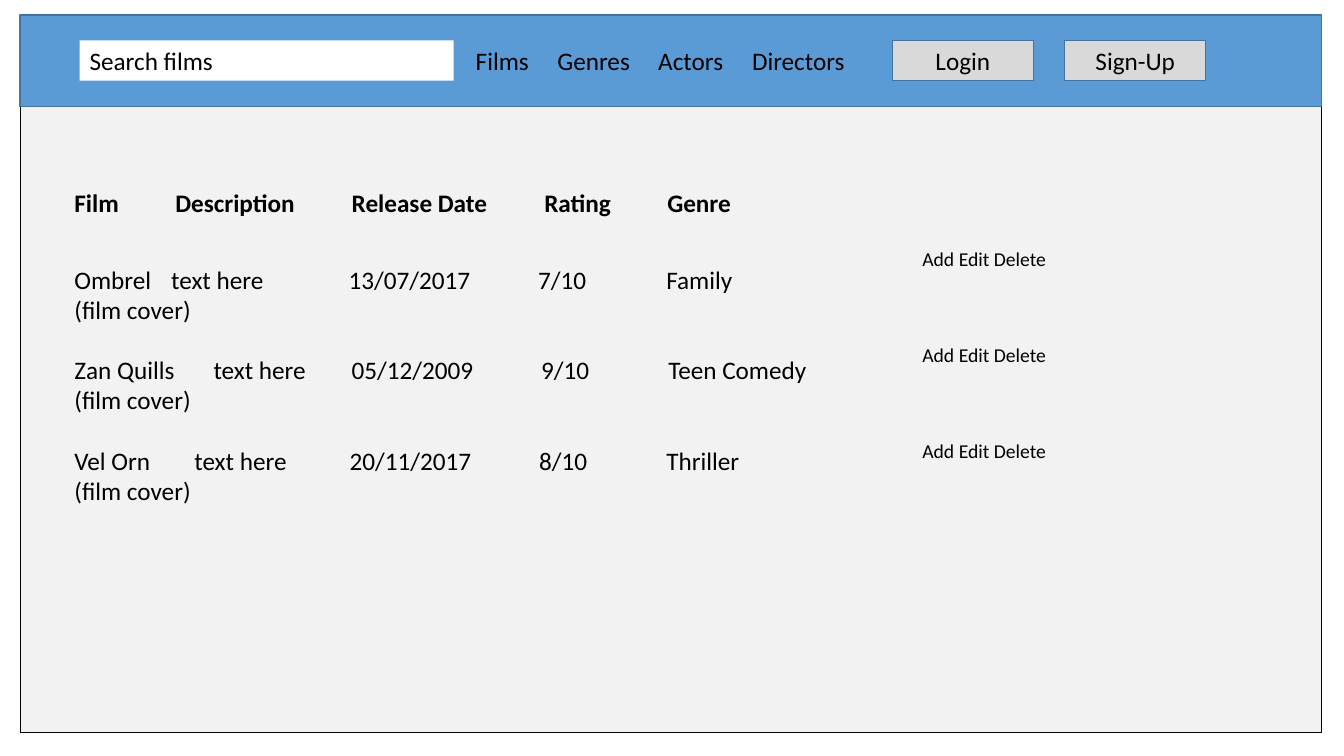
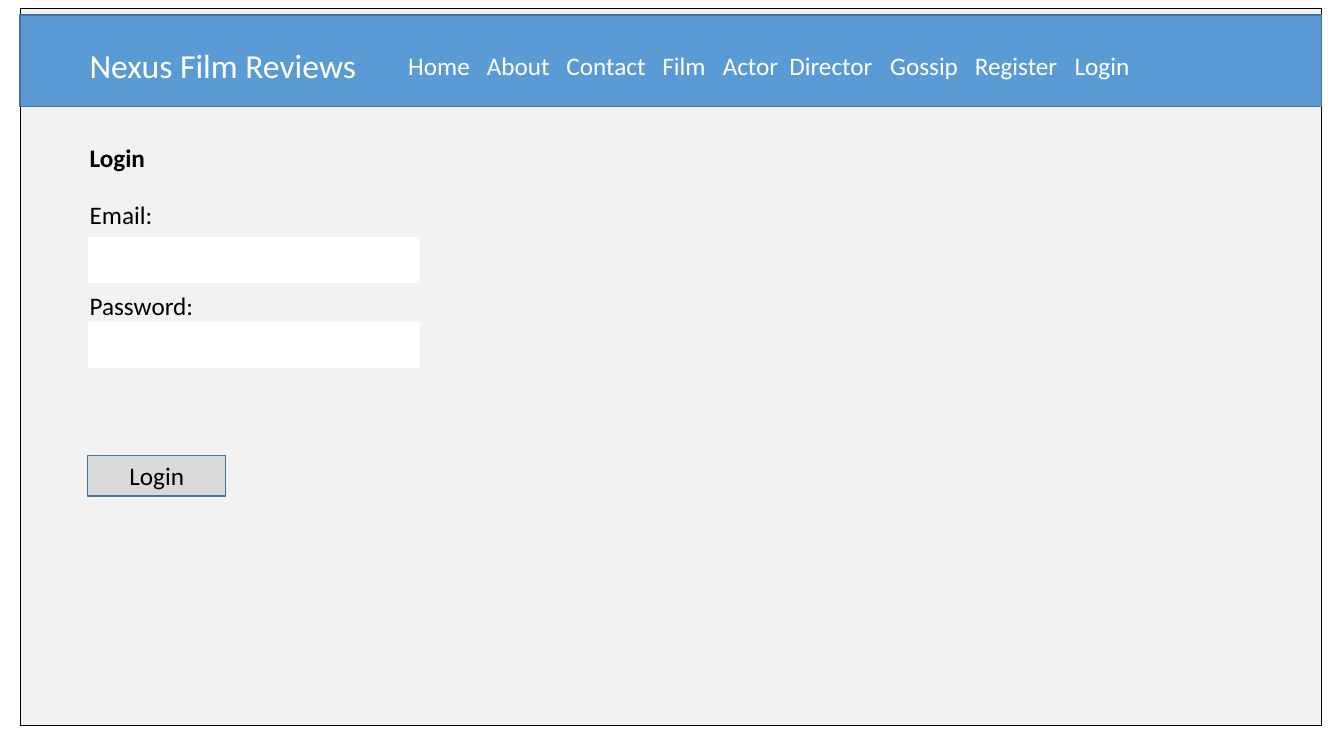
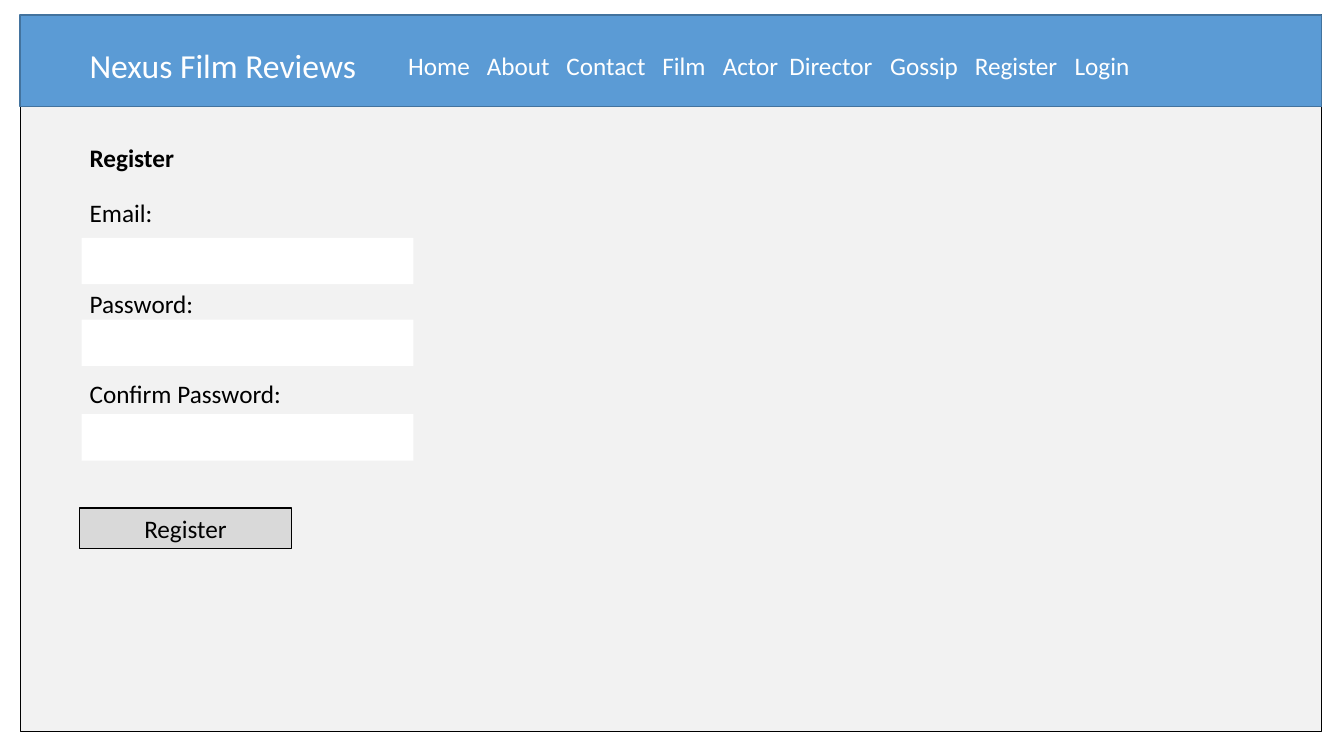
from lxml import etree
from pptx import Presentation
from pptx.dml.color import RGBColor
from pptx.enum.shapes import MSO_SHAPE
from pptx.enum.text import MSO_ANCHOR, PP_ALIGN
from pptx.oxml.ns import qn
from pptx.util import Inches, Pt

BLACK = RGBColor(0x00, 0x00, 0x00)
WHITE = RGBColor(0xFF, 0xFF, 0xFF)
PAGE = RGBColor(0xF2, 0xF2, 0xF2)
BLUE = RGBColor(0x5B, 0x9B, 0xD5)
EDGE = RGBColor(0x43, 0x73, 0x9E)
GREY = RGBColor(0xD9, 0xD9, 0xD9)
FONT = "Calibri"
LINE = 21.5  # points in one line of 18 pt text


def add_rect(s, x, y, w, h, fill, line=None, width=1):
    sp = s.shapes.add_shape(MSO_SHAPE.RECTANGLE, Inches(x), Inches(y), Inches(w), Inches(h))
    sp.shadow.inherit = False
    sp.fill.solid()
    sp.fill.fore_color.rgb = fill
    if line is None:
        sp.line.fill.background()
    else:
        sp.line.color.rgb = line
        sp.line.width = Pt(width)
    return sp


def write(sp, lines, size=18, color=BLACK, bold=False, align=PP_ALIGN.LEFT, anchor=MSO_ANCHOR.TOP):
    """Each line is (text, space before in points, tab stops in inches)."""
    tf = sp.text_frame
    tf.word_wrap = True
    tf.vertical_anchor = anchor
    for i, (text, gap, tabs) in enumerate(lines):
        p = tf.add_paragraph() if i else tf.paragraphs[0]
        p.text = text
        p.alignment = align
        p.space_before = Pt(gap)
        if tabs:
            tab_list = etree.SubElement(p._p.get_or_add_pPr(), qn("a:tabLst"))
            for pos in tabs:
                etree.SubElement(tab_list, qn("a:tab"), pos=str(Inches(pos)), algn="l")
        for r in p.runs:
            r.font.name = FONT
            r.font.size = Pt(size)
            r.font.bold = bold
            r.font.color.rgb = color


prs = Presentation()
prs.slide_width, prs.slide_height = Inches(13.33), Inches(7.5)
blank = prs.slide_layouts[6]

# Page frame and top band of every slide
slides = []
for frame_top in (0.15, 0.08, 0.14):
    s = prs.slides.add_slide(blank)
    add_rect(s, 0.2, frame_top, 12.91, 7.12, PAGE, BLACK, 0.5)
    add_rect(s, 0.2, 0.15, 12.91, 0.91, BLUE, EDGE)
    slides.append(s)

# Slide 1: search, menu and buttons
s = slides[0]
write(add_rect(s, 0.79, 0.4, 3.71, 0.4, WHITE), [("Search films", 0, ())])
menu = s.shapes.add_textbox(Inches(4.62), Inches(0.4), Inches(4.61), Inches(0.4))
write(menu, [("Films\tGenres\tActors\tDirectors", 0, (0.81, 1.81, 2.74))])
buttons = [(s, 8.85, 0.4, 1.4, EDGE, "Login"), (s, 10.56, 0.4, 1.4, EDGE, "Sign-Up")]

# Slide 1: film list
header = s.shapes.add_textbox(Inches(0.64), Inches(1.81), Inches(8.06), Inches(0.42))
write(header, [("Film\tDescription\tRelease Date\tRating\tGenre", 0, (1, 2.75, 4.66, 5.88))], bold=True)
films = [
    ("Ombrel\ttext here\t13/07/2017\t7/10\tFamily", (0.96, 2.72, 4.6, 5.87)),
    ("Zan Quills\ttext here\t05/12/2009\t9/10\tTeen Comedy", (1.38, 2.75, 4.63, 5.89)),
    ("Vel Orn\ttext here\t20/11/2017\t8/10\tThriller", (1.19, 2.73, 4.61, 5.87)),
]
rows = []
for i, (film, tabs) in enumerate(films):
    rows += [(film, LINE if i else 0, tabs), ("(film cover)", 0, ())]
    actions = s.shapes.add_textbox(Inches(9.05), Inches(2.4 + 0.955 * i), Inches(1.83), Inches(0.34))
    write(actions, [("Add Edit Delete", 0, ())], size=14)
film_list = s.shapes.add_textbox(Inches(0.64), Inches(2.57), Inches(9.53), Inches(2.83))
write(film_list, rows)

# Slides 2 and 3: site menu and form
forms = [
    ("Login", ("Email:", "Password:"), 1.93, 1.31, 0.87, (2.35, 3.19)),
    ("Register", ("Email:", "Password:", "Confirm Password:"), 1.91, 3.43, 0.81, (2.36, 3.17, 4.11)),
]
for s, (title, labels, top, height, field_x, field_tops) in zip(slides[1:], forms):
    site = s.shapes.add_textbox(Inches(0.79), Inches(0.4), Inches(3.5), Inches(0.5))
    write(site, [("Nexus Film Reviews", 0, ())], size=24, color=WHITE)
    menu = s.shapes.add_textbox(Inches(3.95), Inches(0.45), Inches(8.11), Inches(0.4))
    write(menu, [("Home\tAbout\tContact\tFilm\tActor\tDirector\tGossip\tRegister\tLogin", 0,
                  (0.78, 1.57, 2.52, 3.12, 3.78, 4.78, 5.62, 6.61))], color=WHITE)
    heading = s.shapes.add_textbox(Inches(0.79), Inches(1.36), Inches(5.59), Inches(0.4))
    write(heading, [(title, 0, ())], bold=True)
    form = s.shapes.add_textbox(Inches(0.79), Inches(top), Inches(3.59), Inches(height))
    write(form, [(label, 2 * LINE if i else 0, ()) for i, label in enumerate(labels)])
    for y in field_tops:
        add_rect(s, field_x, y, 3.29, 0.46, WHITE)
buttons += [(slides[1], 0.87, 4.52, 1.37, EDGE, "Login"), (slides[2], 0.79, 5.04, 2.1, BLACK, "Register")]

# Buttons of all slides
for s, x, y, w, edge, label in buttons:
    button = add_rect(s, x, y, w, 0.4, GREY, edge)
    write(button, [(label, 0, ())], align=PP_ALIGN.CENTER, anchor=MSO_ANCHOR.MIDDLE)

prs.save("out.pptx")
